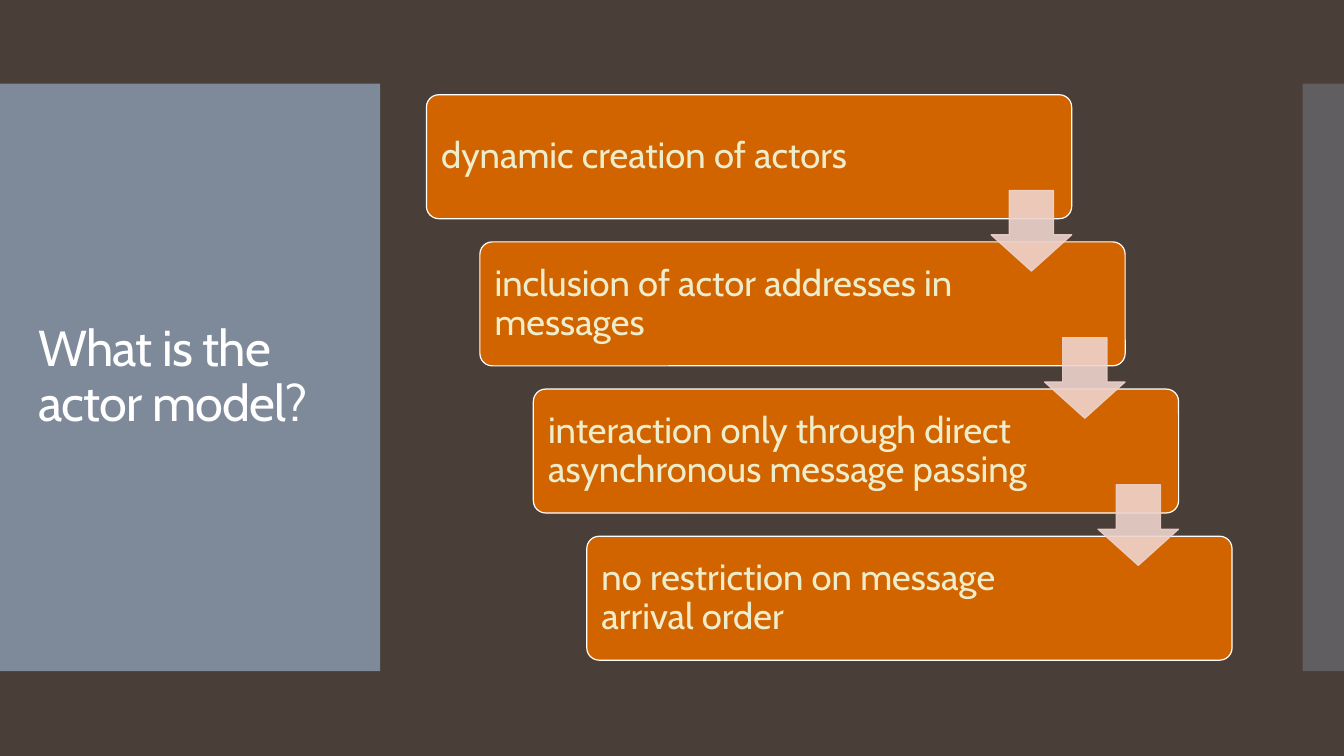
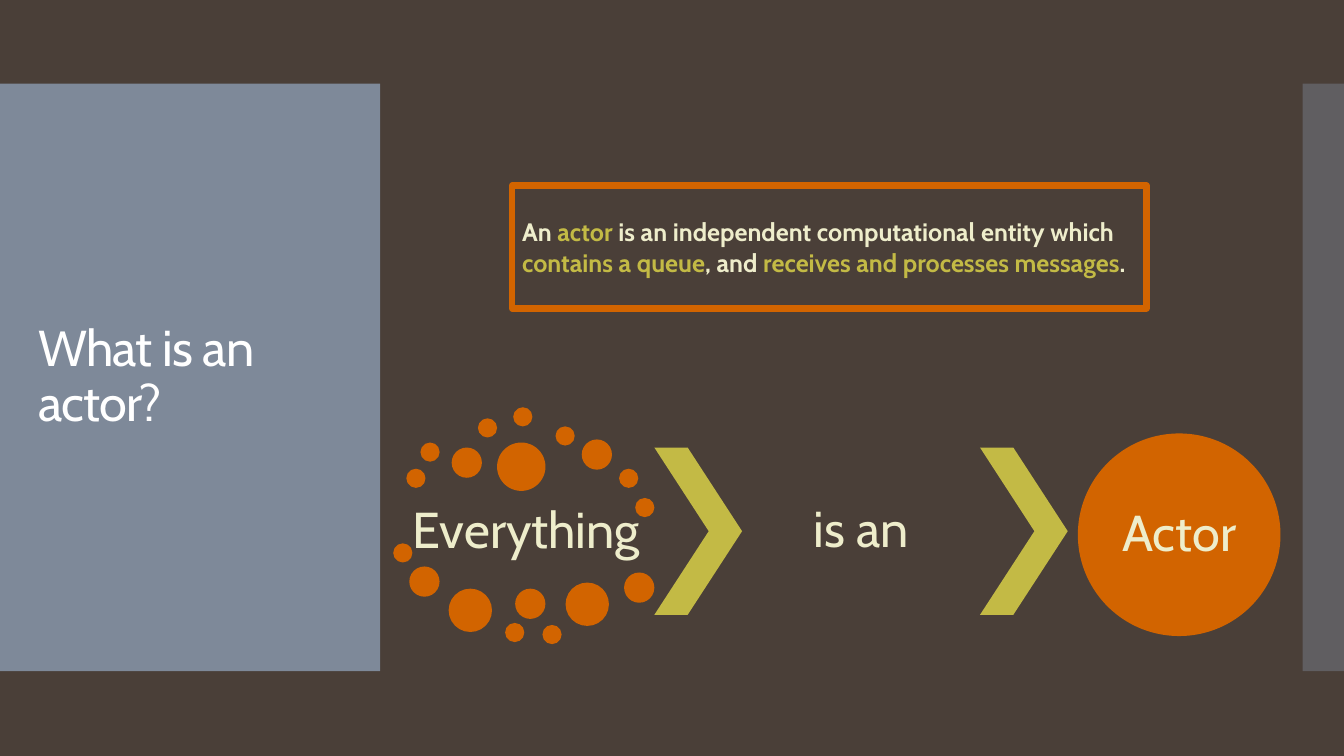
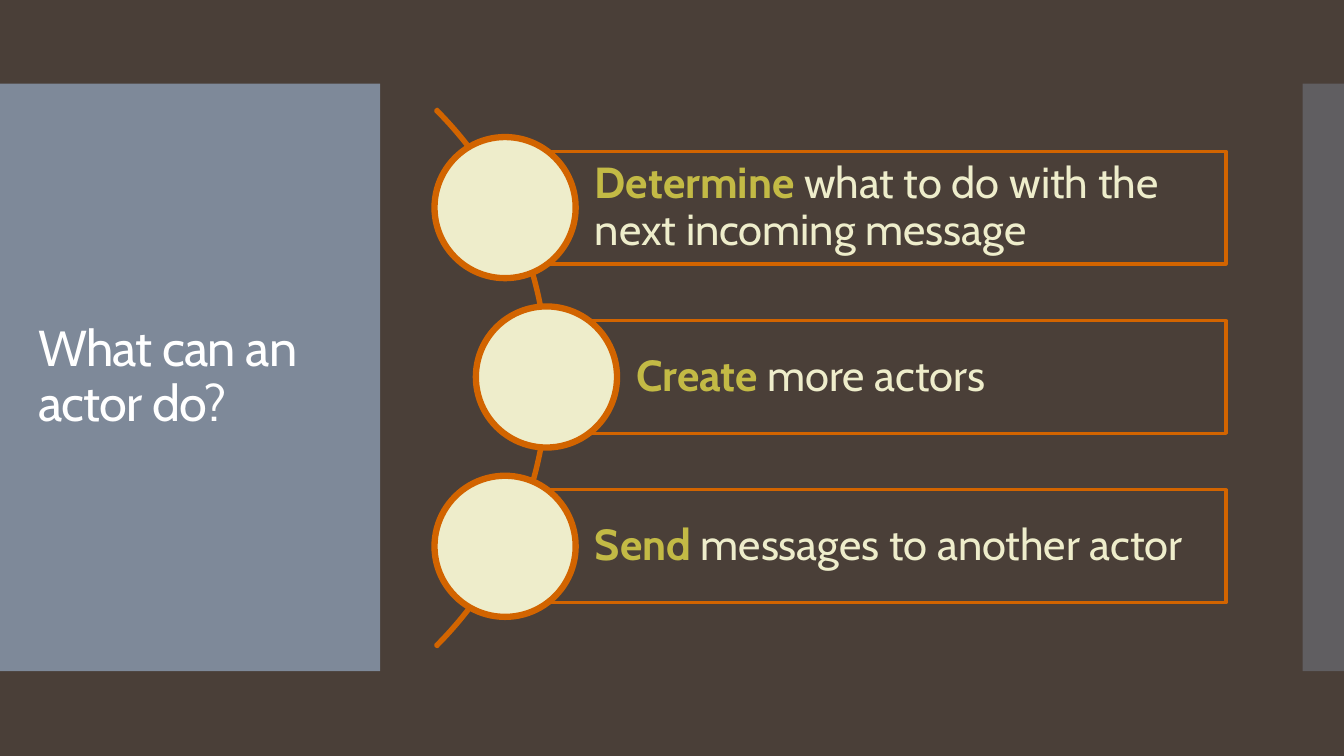
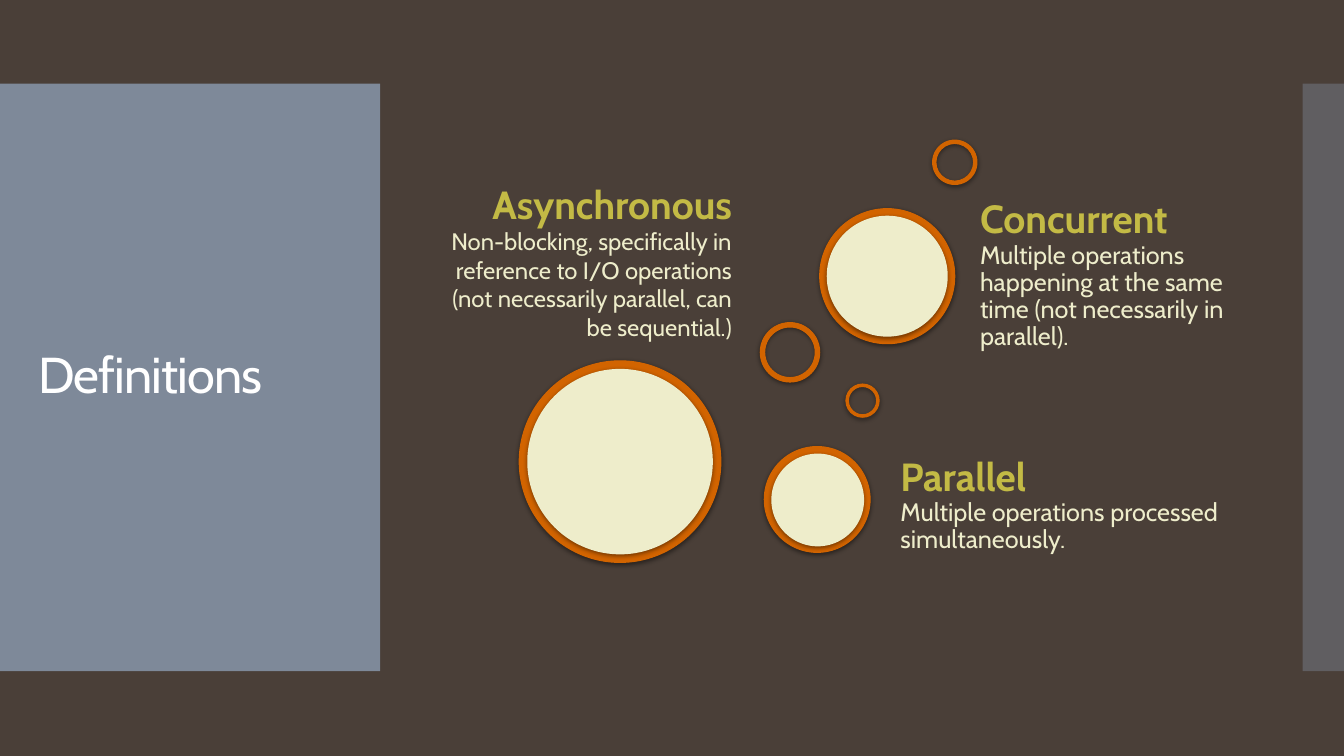
"""Build four slides that introduce the actor model."""
from dataclasses import dataclass

from pptx import Presentation
from pptx.dml.color import RGBColor
from pptx.enum.shapes import MSO_SHAPE
from pptx.enum.text import MSO_ANCHOR, MSO_AUTO_SIZE, PP_ALIGN
from pptx.oxml import parse_xml
from pptx.oxml.ns import nsdecls, qn
from pptx.oxml.xmlchemy import OxmlElement
from pptx.util import Inches, Pt


@dataclass(frozen=True)
class Theme:
    font: str = "Cabin"
    back: RGBColor = RGBColor.from_string("4A3F38")
    band: RGBColor = RGBColor.from_string("818E9F")
    white: RGBColor = RGBColor.from_string("FFFFFF")
    orange: RGBColor = RGBColor.from_string("D26400")
    cream: RGBColor = RGBColor.from_string("EEEDCB")
    green: RGBColor = RGBColor.from_string("C3BA45")
    pink: RGBColor = RGBColor.from_string("EED3CC")
    title: int = 36
    action: int = 31
    heading: int = 28
    step: int = 26
    body: int = 18


T = Theme()


def draw(s, kind, box, fill=None, line=None, width=0.85, alpha=None, adj=()):
    sp = s.shapes.add_shape(kind, *map(Inches, box))
    sp.shadow.inherit = False
    for i, value in enumerate(adj):
        sp.adjustments[i] = value
    if fill is None:
        sp.fill.background()
    else:
        sp.fill.solid()
        sp.fill.fore_color.rgb = fill
    if line is None:
        sp.line.fill.background()
    else:
        sp.line.color.rgb = line
        sp.line.width = Pt(width)
    if alpha is not None:
        for clr in sp._element.spPr.iter(qn("a:srgbClr")):
            node = OxmlElement("a:alpha")
            node.set("val", str(alpha * 1000))
            clr.append(node)
    return sp


def write(sp, runs, size, align=PP_ALIGN.LEFT, margins=(0, 0, 0, 0), spacing=0.9, color=T.cream):
    tf = sp.text_frame
    tf.word_wrap = True
    tf.auto_size = MSO_AUTO_SIZE.NONE
    tf.vertical_anchor = MSO_ANCHOR.MIDDLE
    tf.margin_left, tf.margin_top, tf.margin_right, tf.margin_bottom = map(Inches, margins)
    p = tf.paragraphs[0]
    p.alignment = align
    p.line_spacing = spacing
    p.font.name = T.font
    p.font.size = Pt(size)
    p.font.color.rgb = color
    for text, accent in runs:
        if text == "\n":
            p.add_line_break()
            continue
        r = p.add_run()
        r.text = text
        if accent:
            r.font.bold = True
            r.font.color.rgb = T.green
    return p


prs = Presentation()
prs.slide_width, prs.slide_height = Inches(13.33), Inches(7.5)
fill = prs.slide_master.background.fill
fill.solid()
fill.fore_color.rgb = T.back
layout = prs.slide_layouts.get_by_name("Title Only")
ph = layout.placeholders[0]
ph.left, ph.top, ph.width, ph.height = map(Inches, (0.28, 1.23, 3.22, 5.03))

slides = []
for title in ("What is the actor model?", "What is an actor?", "What can an actor do?", "Definitions"):
    s = prs.slides.add_slide(layout)
    p = write(s.shapes.title, [(title, False)], T.title, margins=(0.1, 0.05, 0.1, 0.05), color=T.white)
    p._p.pPr.get_or_add_defRPr().set("spc", "-60")
    slides.append(s)
model, actor, actions, definitions = slides

for x, w, alpha in ((0, 3.77, 95), (12.92, 0.41, 40)):
    band = draw(model, MSO_SHAPE.RECTANGLE, (x, 0.83, w, 5.83), T.band, alpha=alpha)
    layout.shapes._spTree.insert(2, band._element)

steps = (
    "dynamic creation of actors",
    "inclusion of actor addresses in messages",
    "interaction only through direct asynchronous message passing",
    "no restriction on message arrival order",
)
corners = [(4.23 + 0.53 * i, 0.94 + 1.46 * i) for i in range(len(steps))]
for (x, y), text in zip(corners, steps):
    sp = draw(model, MSO_SHAPE.ROUNDED_RECTANGLE, (x, y, 6.4, 1.23), T.orange, T.white, adj=[0.1])
    write(sp, [(text, False)], T.step, margins=(0.11, 0.11, 1.46, 0.11))
for x, y in corners[:-1]:
    draw(model, MSO_SHAPE.DOWN_ARROW, (x + 5.6, y + 0.95, 0.8, 0.8), T.pink, T.pink,
         alpha=90, adj=[0.55, 0.45])

dots = {
    0.19: ((4.03, 4.65), (4.17, 4.39), (4.74, 4.15), (5.09, 4.04), (5.51, 4.23), (6.14, 4.65),
           (6.3, 4.94), (3.9, 5.39), (5.01, 6.18), (5.38, 6.2)),
    0.3: ((4.48, 4.44), (5.77, 4.36), (4.06, 5.62), (5.11, 5.84), (6.19, 5.68)),
    0.43: ((4.45, 5.84), (5.61, 5.78)),
    0.48: ((4.93, 4.39),),
}
for d, places in dots.items():
    for x, y in places:
        draw(actor, MSO_SHAPE.OVAL, (x, y, d, d), T.orange)
for x in (6.49, 9.72):
    draw(actor, MSO_SHAPE.CHEVRON, (x, 4.44, 0.87, 1.66), T.green, adj=[0.62])
for text, box in (("Everything", (4.04, 4.89, 2.36, 0.78)), ("is an", (7.36, 4.44, 2.37, 1.66))):
    tb = actor.shapes.add_textbox(*map(Inches, box))
    write(tb, [(text, False)], T.title, PP_ALIGN.CENTER, (0.05,) * 4)
sp = draw(actor, MSO_SHAPE.OVAL, (10.69, 4.3, 2.01, 2.01), T.orange)
write(sp, [("Actor", False)], T.title, PP_ALIGN.CENTER)
sp = draw(actor, MSO_SHAPE.RECTANGLE, (5.08, 1.84, 6.29, 1.22), T.back, T.orange, 4.5)
p = write(sp, [
    ("An ", False),
    ("actor ", True),
    ("is an independent computational entity which ", False),
    ("contains a queue", True),
    (", and ", False),
    ("receives and processes messages", True),
    (".", False),
], T.body, margins=(0.1, 0.05, 0.1, 0.05), spacing=1)
p.font.bold = True

draw(actions, MSO_SHAPE.BLOCK_ARC, (-2.1, -0.02, 7.54, 7.54), line=T.orange, width=2.25,
     adj=[189, 27, 0.003])
rows = (
    (5.01, "Determine ", "what to do with the next incoming message"),
    (5.42, "Create ", "more actors"),
    (5.01, "Send ", "messages to another actor"),
)
for i, (x, verb, rest) in enumerate(rows):
    y = 1.5 + 1.68 * i
    sp = draw(actions, MSO_SHAPE.RECTANGLE, (x, y, 12.16 - x, 1.12), line=T.orange, width=2.25)
    write(sp, [(verb, True), (rest, False)], T.action, margins=(0.89, 0.09, 0.09, 0.09))
    draw(actions, MSO_SHAPE.OVAL, (x - 0.7, y - 0.14, 1.4, 1.4), T.cream, T.orange, 4.5)

bubbles = (
    (MSO_SHAPE.OVAL, 5.15, 3.58, 2, T.orange),
    (MSO_SHAPE.DONUT, 7.54, 3.2, 0.59, T.orange),
    (MSO_SHAPE.OVAL, 5.23, 3.66, 1.84, T.cream),
    (MSO_SHAPE.OVAL, 7.58, 4.43, 1.05, T.orange),
    (MSO_SHAPE.OVAL, 7.65, 4.5, 0.92, T.cream),
    (MSO_SHAPE.OVAL, 8.13, 2.07, 1.34, T.orange),
    (MSO_SHAPE.DONUT, 9.25, 1.39, 0.44, T.orange),
    (MSO_SHAPE.DONUT, 8.39, 3.81, 0.33, T.orange),
    (MSO_SHAPE.OVAL, 8.2, 2.14, 1.2, T.cream),
)
for kind, x, y, d, color in bubbles:
    sp = draw(definitions, kind, (x, y, d, d), color, T.orange if color == T.orange else None, 0.75,
              adj=[0.075] if kind == MSO_SHAPE.DONUT else ())
    sp._element.spPr.find(qn("a:effectLst")).append(parse_xml(
        f'<a:outerShdw {nsdecls("a")} blurRad="{Pt(3.5)}" dist="{Pt(1.1)}" dir="5400000" rotWithShape="0">'
        '<a:srgbClr val="000000"><a:alpha val="45000"/></a:srgbClr></a:outerShdw>'))

terms = (
    ((4.23, 1.44, 3.07, 2.25), "Asynchronous", PP_ALIGN.RIGHT, 1, 17, 0,
     "Non-blocking, specifically in reference to I/O operations "
     "(not necessarily parallel, can be sequential.)"),
    ((8.89, 4.49, 3.41, 1.05), "Parallel", PP_ALIGN.LEFT, 0.9, T.body, 0.04,
     "Multiple operations processed simultaneously."),
    ((9.68, 1.9, 2.68, 1.67), "Concurrent", PP_ALIGN.LEFT, 0.9, T.body, 0.04,
     "Multiple operations happening at the same time (not necessarily in parallel)."),
)
for box, term, align, spacing, size, bottom, meaning in terms:
    tb = definitions.shapes.add_textbox(*map(Inches, box))
    p = write(tb, [(term, True), ("\n", False), (meaning, False)], size, align,
              (0.04, 0.04, 0.04, bottom), spacing)
    p.runs[0].font.size = Pt(T.heading)

prs.save("out.pptx")
